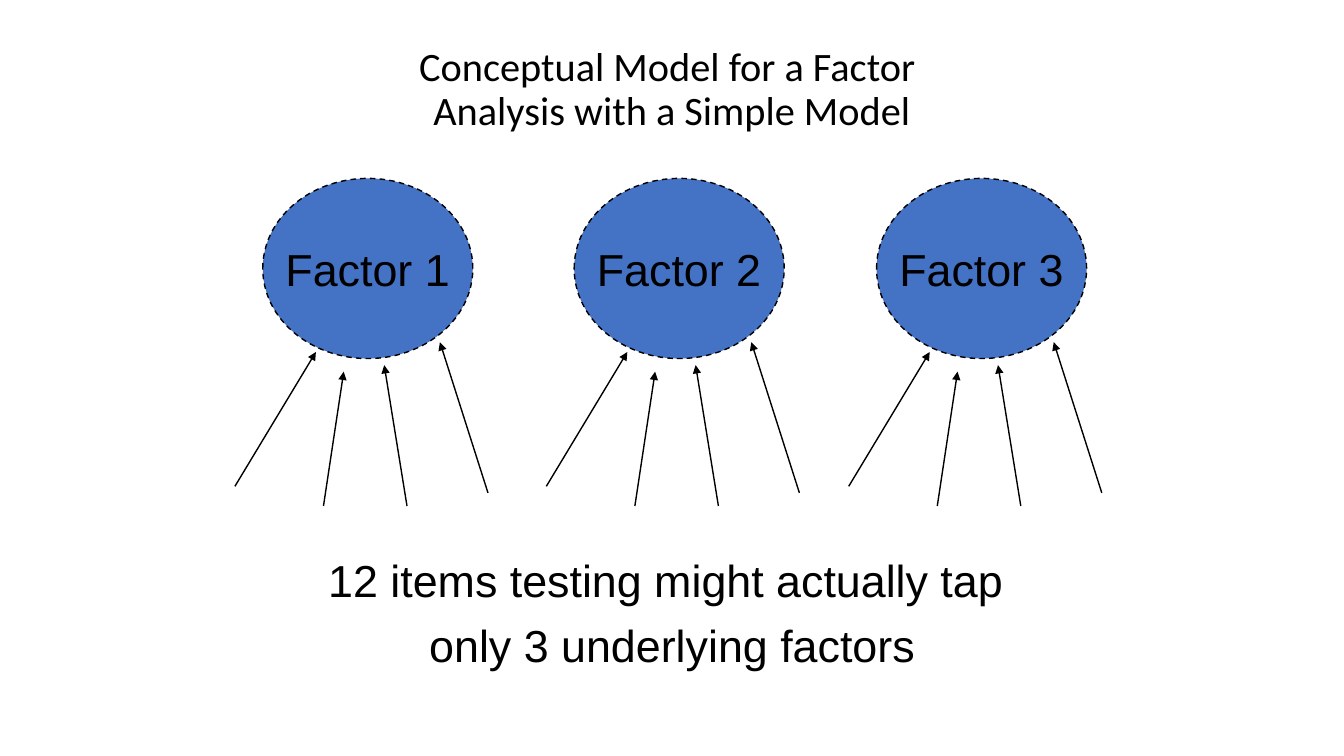
from lxml.etree import SubElement
from pptx import Presentation
from pptx.dml.color import RGBColor
from pptx.enum.dml import MSO_LINE_DASH_STYLE as Dash
from pptx.enum.shapes import MSO_CONNECTOR as Connector, MSO_SHAPE as Shape
from pptx.enum.text import MSO_ANCHOR as Anchor, PP_ALIGN as Align
from pptx.oxml.ns import qn
from pptx.util import Inches, Pt

SLIDE_WIDTH, SLIDE_HEIGHT = Inches(13.33), Inches(7.5)
COLUMN, ROW = SLIDE_WIDTH / 100, SLIDE_HEIGHT / 100
BLACK, BLUE = "000000", "4472C4"

FACTOR_COLUMNS = {"Factor 1": 17.48, "Factor 2": 40.65, "Factor 3": 63.15}
ITEM_ARROWS = [
    ((0, 0.94), (0.32, 0.53)),
    ((0.35, 1), (0.43, 0.59)),
    ((0.68, 1), (0.59, 0.57)),
    ((1, 0.96), (0.81, 0.5)),
]


def color(hex_string):
    """Turn a hex string into a colour."""
    return RGBColor.from_string(hex_string)


def grid_box(left, top, width, height):
    """Turn columns and rows into slide lengths."""
    return (round(left * COLUMN), round(top * ROW),
            round(width * COLUMN), round(height * ROW))


def add_run(paragraph, text, font_name="Arial", size=32):
    """Add one black run to a centred paragraph."""
    paragraph.alignment = Align.CENTER
    run = paragraph.add_run()
    run.text = text
    run.font.name = font_name
    run.font.size = Pt(size)
    run.font.color.rgb = color(BLACK)


def style_line(line):
    """Make a line thin and black."""
    line.color.rgb = color(BLACK)
    line.width = Pt(1)


def add_title(slide, box):
    """Fill the title placeholder with two centred lines."""
    title = slide.shapes.title
    title.left, title.top, title.width, title.height = box
    title.text_frame.vertical_anchor = Anchor.MIDDLE
    paragraph = title.text_frame.paragraphs[0]
    paragraph.line_spacing = 0.9
    add_run(paragraph, "Conceptual Model for a Factor ", "Calibri", 28.8)
    paragraph.add_line_break()
    add_run(paragraph, "Analysis with a Simple Model", "Calibri", 28.8)


def add_arrow(shapes, start, end):
    """Draw an arrow with a triangular head at its end."""
    arrow = shapes.add_connector(Connector.STRAIGHT, *start, *end)
    style_line(arrow.line)
    SubElement(arrow.line._get_or_add_ln(), qn("a:tailEnd"), type="triangle")
    SubElement(arrow._element.spPr, qn("a:effectLst"))


def add_factor(slide, name, box):
    """Group a factor ellipse with the arrows of its four items."""
    left, top, width, height = box
    group = slide.shapes.add_group_shape()
    ellipse = group.shapes.add_shape(
        Shape.OVAL, round(left + 0.11 * width), top,
        round(0.83 * width), round(0.55 * height))
    ellipse.shadow.inherit = False
    ellipse.fill.solid()
    ellipse.fill.fore_color.rgb = color(BLUE)
    style_line(ellipse.line)
    ellipse.line.dash_style = Dash.DASH
    ellipse.text_frame.word_wrap = False
    ellipse.text_frame.vertical_anchor = Anchor.MIDDLE
    add_run(ellipse.text_frame.paragraphs[0], name)
    for arrow_ends in ITEM_ARROWS:
        start, end = [(round(left + x * width), round(top + y * height))
                      for x, y in arrow_ends]
        add_arrow(group.shapes, start, end)


def add_conclusion(slide, box):
    """Add the two centred lines below the model."""
    frame = slide.shapes.add_textbox(*box).text_frame
    frame.word_wrap = True
    add_run(frame.paragraphs[0], "12 items testing might actually tap ")
    paragraph = frame.add_paragraph()
    paragraph.space_before = Pt(8)
    add_run(paragraph, "only 3 underlying factors")


def main():
    """Build and save the presentation."""
    presentation = Presentation()
    presentation.slide_width = SLIDE_WIDTH
    presentation.slide_height = SLIDE_HEIGHT
    slide = presentation.slides.add_slide(presentation.slide_layouts[5])
    add_title(slide, grid_box(12.5, 6, 75, 11.87))
    for name, column in FACTOR_COLUMNS.items():
        add_factor(slide, name, grid_box(column, 23.6, 18.83, 43.33))
    add_conclusion(slide, grid_box(16.88, 72.4, 66.3, 16.27))
    presentation.save("out.pptx")


if __name__ == "__main__":
    main()
